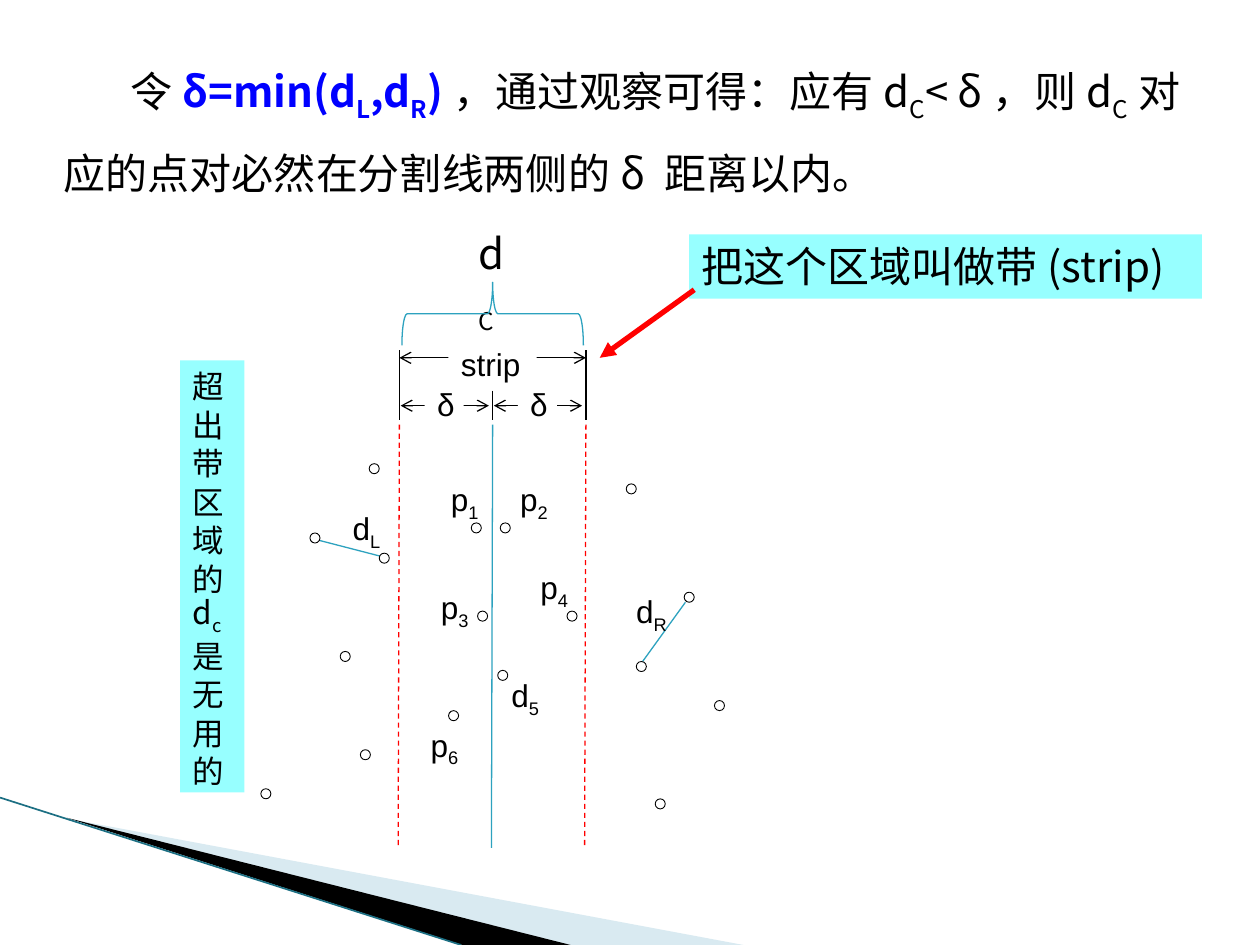
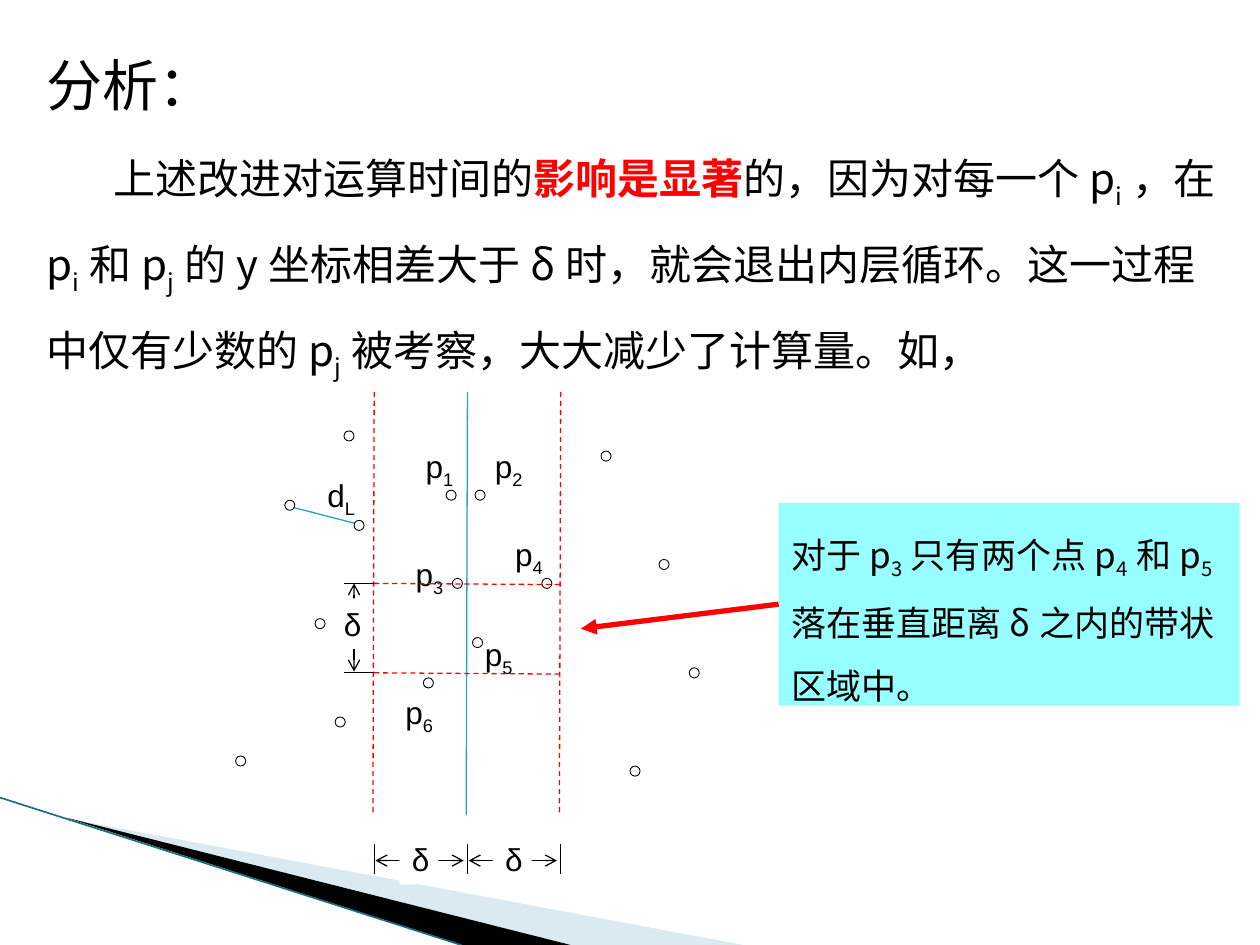
from typing import NamedTuple, Optional

from lxml import etree
from pptx import Presentation
from pptx.dml.color import RGBColor
from pptx.enum.dml import MSO_LINE
from pptx.enum.shapes import MSO_CONNECTOR, MSO_SHAPE
from pptx.enum.text import MSO_ANCHOR, PP_ALIGN
from pptx.oxml.ns import qn
from pptx.util import Emu, Pt

PX = 9144  # 100 px to the inch

STRAIGHT = MSO_CONNECTOR.STRAIGHT
OVAL, RECT, BRACE = MSO_SHAPE.OVAL, MSO_SHAPE.RECTANGLE, MSO_SHAPE.RIGHT_BRACE
DASH = MSO_LINE.DASH
TOP, LEFT = MSO_ANCHOR.TOP, PP_ALIGN.LEFT

BLACK = RGBColor(0, 0, 0)
WHITE = RGBColor(0xFF, 0xFF, 0xFF)
RED = RGBColor(0xFF, 0, 0)
BLUE = RGBColor(0, 0, 0xFF)
TEAL = RGBColor(0x2D, 0xA2, 0xBF)
DARK_TEAL = RGBColor(0x1C, 0x6F, 0x83)
PALE_BLUE = RGBColor(0xD9, 0xEA, 0xF1)
CYAN = RGBColor(0x97, 0xFF, 0xFF)

CJK, LATIN = "Noto Sans CJK SC", "Arial"
DOT = 8
HALF_STRIP = 74


class Box(NamedTuple):
    x: int
    y: int
    w: int
    h: int


class Run(NamedTuple):
    text: str
    sub: bool = False
    color: RGBColor = BLACK
    bold: bool = False


class Para(NamedTuple):
    runs: list[Run]
    size: int
    font: str = CJK
    line: Optional[int] = None  # line pitch in points
    indent: int = 0
    before: int = 0


class Label(NamedTuple):
    x: int
    y: int
    letter: str
    index: str


# Diagram shared by both slides, in the first slide's coordinates
HOLLOW_DOTS = [(293, 368), (270, 517), (286, 595), (356, 564), (379, 485), (497, 384),
               (543, 470), (567, 556), (520, 634), (207, 626)]
FILLED_DOTS = [(246, 423), (301, 439), (374, 415), (397, 415), (450, 485), (395, 532)]
LABELS = [Label(270, 399, "d", "L"), Label(348, 376, "p", "1"), Label(403, 376, "p", "2"),
          Label(340, 462, "p", "3"), Label(419, 446, "p", "4"), Label(332, 571, "p", "6")]


def px(n: int) -> Emu:
    return Emu(n * PX)


def write(sp, paras: list[Para], top: int = 5) -> None:
    tf = sp.text_frame
    tf.word_wrap = True
    tf.vertical_anchor = TOP
    tf.margin_top = px(top)
    for i, para in enumerate(paras):
        p = tf.add_paragraph() if i else tf.paragraphs[0]
        p.alignment = LEFT
        p.space_before = Pt(para.before)
        if para.line:
            p.line_spacing = Pt(para.line)
        if para.indent:
            p._p.get_or_add_pPr().set("indent", str(px(para.indent)))
        for run in para.runs:
            r = p.add_run()
            r.text = run.text
            r.font.size = Pt(para.size)
            r.font.name = para.font
            r.font.bold = run.bold
            r.font.color.rgb = run.color
            rPr = r.font._element
            etree.SubElement(rPr, qn("a:ea")).set("typeface", para.font)
            if run.sub:
                rPr.set("baseline", "-25000")


def text_box(s, box: Box, paras: list[Para], top: int = 5) -> None:
    write(s.shapes.add_textbox(*map(px, box)), paras, top)


def shape(s, kind, box: Box, fill: Optional[RGBColor] = None,
          line: Optional[RGBColor] = None, width: float = 0.5):
    sp = s.shapes.add_shape(kind, *map(px, box))
    sp.shadow.inherit = False
    if fill is None:
        sp.fill.background()
    else:
        sp.fill.solid()
        sp.fill.fore_color.rgb = fill
    if line is None:
        sp.line.fill.background()
    else:
        sp.line.color.rgb = line
        sp.line.width = Pt(width)
    return sp


def panel(s, box: Box, fill: RGBColor, para: Para, top: int = 5):
    sp = shape(s, RECT, box, fill)
    write(sp, [para], top)
    return sp


def line(s, x1: int, y1: int, x2: int, y2: int, color: RGBColor = BLACK,
         width: float = 0.75, dash=None, head: str = "", tail: str = ""):
    c = s.shapes.add_connector(STRAIGHT, *map(px, (x1, y1, x2, y2)))
    c.line.color.rgb = color
    c.line.width = Pt(width)
    if dash:
        c.line.dash_style = dash
    ln = c.line._get_or_add_ln()
    for tag, kind in (("a:headEnd", head), ("a:tailEnd", tail)):
        if kind:
            etree.SubElement(ln, qn(tag)).set("type", kind)
    etree.SubElement(c._element.spPr, qn("a:effectLst"))
    return c


def measure(s, x1: int, y1: int, x2: int, y2: int) -> None:
    """Double-headed dimension line."""
    line(s, x1, y1, x2, y2, head="arrow", tail="arrow")


def dashed(s, x1: int, y1: int, x2: int, y2: int) -> None:
    line(s, x1, y1, x2, y2, RED, dash=DASH)


def dot(s, x: int, y: int, fill: Optional[RGBColor] = None) -> None:
    shape(s, OVAL, Box(x, y, DOT, DOT), fill, BLACK)


def label(s, item: Label, dx: int = 0, dy: int = 0) -> None:
    text_box(s, Box(item.x + dx, item.y + dy, 70, 40),
             [Para([Run(item.letter), Run(item.index, sub=True)], 18, LATIN)])


def delta(s, x: int, y: int) -> None:
    panel(s, Box(x, y, 31, 40), WHITE, Para([Run("δ")], 18, LATIN))


def delta_scale(s, left: int, y: int) -> None:
    """Two δ dimensions, one on each side of the dividing line."""
    for x in (left, left + HALF_STRIP):
        measure(s, x + 1, y, x + HALF_STRIP - 3, y)
    for x in (left, left + HALF_STRIP):
        delta(s, x + 20, y - 21)


def corner_wedges(s) -> None:
    wedges = [(PALE_BLUE, [(55, 650), (590, 750), (452, 750)]),
              (BLACK, [(53, 649), (453, 750), (367, 750)])]
    for color, points in wedges:
        fb = s.shapes.build_freeform(*points[0], scale=PX)
        fb.add_line_segments(points[1:])
        sp = fb.convert_to_shape()
        sp.shadow.inherit = False
        sp.fill.solid()
        sp.fill.fore_color.rgb = color
        sp.line.fill.background()
    line(s, 0, 633, 366, 750, DARK_TEAL, 0.95)


def strip_diagram(s, dx: int = 0, dy: int = 0) -> None:
    line(s, 246 + dx, 427 + dy, 308 + dx, 443 + dy, TEAL)
    for dots, fill in ((HOLLOW_DOTS, None), (FILLED_DOTS, WHITE)):
        for x, y in dots:
            dot(s, x + dx, y + dy, fill)
    top, bottom, left = 337 + dy, 673 + dy, 317 + dx
    middle, right = left + HALF_STRIP, left + 2 * HALF_STRIP
    line(s, middle, top, middle - 1, bottom, TEAL)
    for x in (left, right):
        dashed(s, x, top, x - 1, bottom)
    for item in LABELS:
        label(s, item, dx, dy)


def strip_slide(s) -> None:
    text_box(s, Box(41, 22, 930, 221), [Para([
        Run("令"), Run("δ=min(d", color=BLUE, bold=True), Run("L", True, BLUE, True),
        Run(",d", color=BLUE, bold=True), Run("R", True, BLUE, True),
        Run(")", color=BLUE, bold=True), Run("，通过观察可得：应有d"), Run("C", True),
        Run("< δ，则d"), Run("C", True),
        Run("对应的点对必然在分割线两侧的δ 距离以内。")], 24, line=43, indent=53)], top=16)

    line(s, 510, 525, 544, 478, TEAL)
    dot(s, 505, 525)
    strip_diagram(s)
    label(s, Label(495, 465, "d", "R"))
    label(s, Label(396, 532, "d", "5"))

    for x, top in ((317, 278), (391, 310), (465, 278)):
        line(s, x, top, x, 333)
    delta_scale(s, 317, 322)
    measure(s, 317, 284, 465, 284)
    panel(s, Box(356, 269, 70, 40), WHITE, Para([Run("strip")], 18, LATIN))

    text_box(s, Box(370, 176, 48, 51), [Para([Run("d"), Run("C", True)], 24)])
    shape(s, BRACE, Box(366, 177, 50, 144), line=TEAL, width=0.75).rotation = 270
    panel(s, Box(547, 186, 407, 51), CYAN, Para([Run("把这个区域叫做带(strip)")], 24, line=29))
    line(s, 551, 230, 476, 284, RED, 3, tail="triangle")
    panel(s, Box(143, 286, 51, 343), CYAN, Para(
        [Run("超出带区域的d"), Run("c", True), Run("是无用的")], 18, line=22))


def analysis_slide(s) -> None:
    text_box(s, Box(27, 9, 957, 299), [
        Para([Run("分析：")], 32, line=57),
        Para([Run("上述改进对运算时间的"), Run("影响是显著", color=RED, bold=True),
              Run("的，因为对每一个p"), Run("i", True), Run("，在p"), Run("i", True),
              Run("和p"), Run("j", True),
              Run("的y坐标相差大于δ时，就会退出内层循环。这一过程中仅有少数的p"),
              Run("j", True), Run("被考察，大大减少了计算量。如，")],
             24, line=49, indent=53, before=4)])

    strip_diagram(s, -20, -26)
    label(s, Label(375, 499, "p", "5"))

    for x in (297, 371, 445):
        line(s, x, 670, x, 694)
    delta_scale(s, 297, 683)
    for y in (463, 534):
        dashed(s, 297, y, 445, y + 1)
        line(s, 273, y, 297, y)
    measure(s, 281, 463, 281, 533)
    delta(s, 263, 475)

    callout = panel(s, Box(618, 399, 366, 161), CYAN, Para(
        [Run("对于p"), Run("3", True), Run("只有两个点p"), Run("4", True), Run("和p"),
         Run("5", True), Run("落在垂直距离δ之内的带状区域中。")], 20, line=36), top=12)
    arrow = line(s, 618, 479, 461, 499, RED, 3, tail="triangle")
    arrow.begin_connect(callout, 1)


def main() -> None:
    prs = Presentation()
    prs.slide_width, prs.slide_height = px(1000), px(750)
    for draw in (strip_slide, analysis_slide):
        s = prs.slides.add_slide(prs.slide_layouts[6])
        corner_wedges(s)
        draw(s)
    prs.save("out.pptx")


if __name__ == "__main__":
    main()
